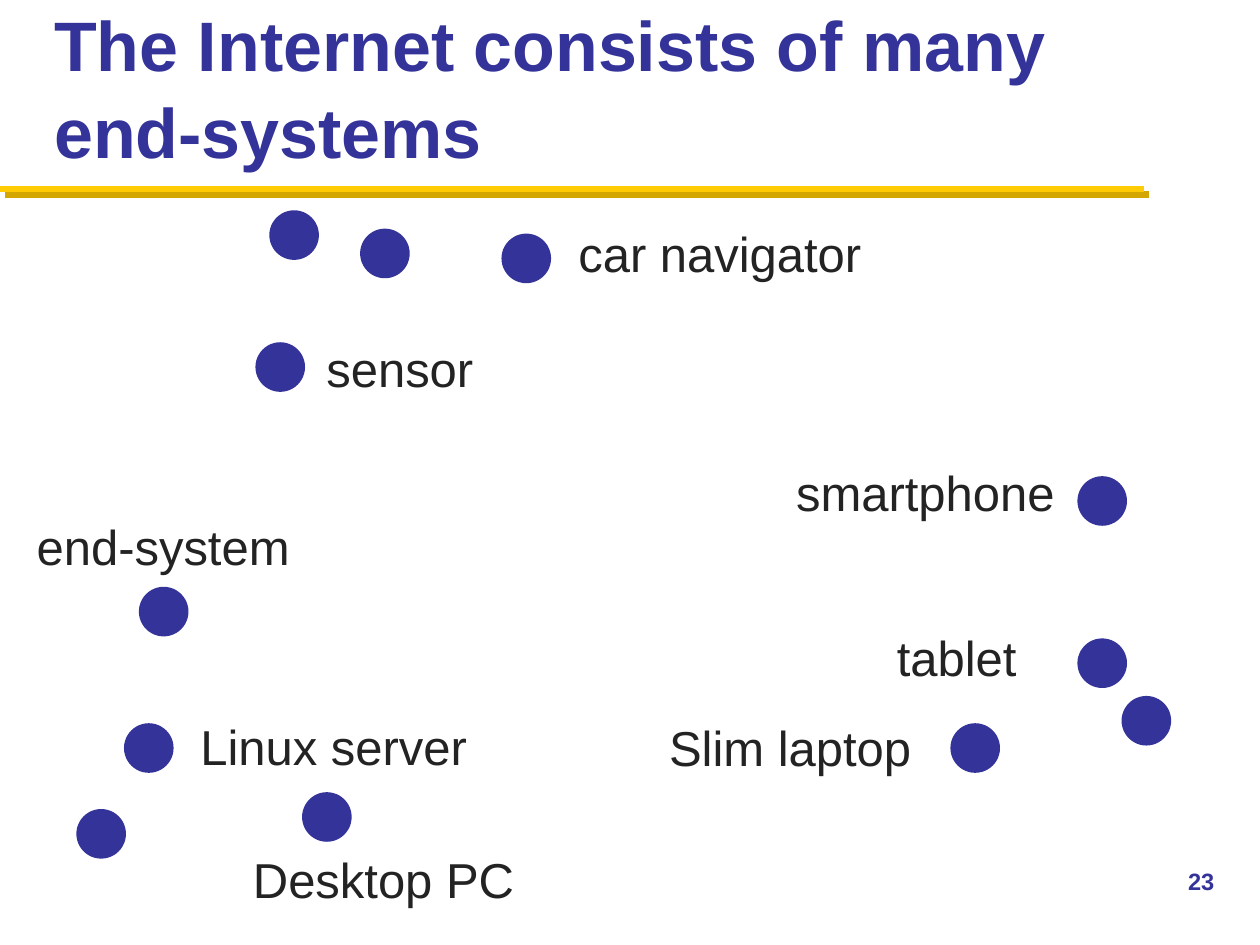
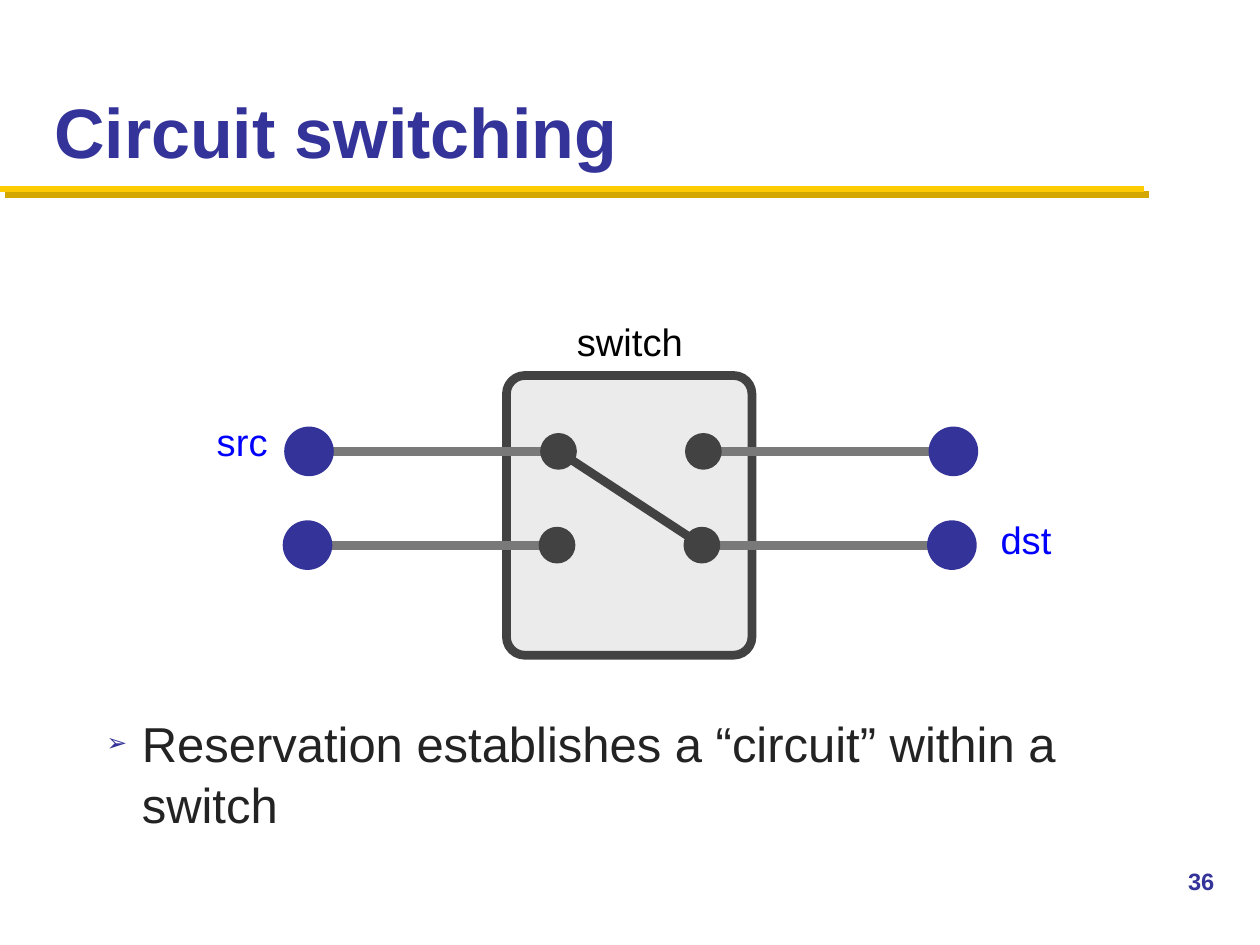
"""Build two slides on end-systems and circuit switching."""
import pptx
import pptx.util
import pptx.dml.color
import pptx.enum.shapes
import pptx.enum.text
import pptx.oxml.ns
import lxml.etree

Cm = pptx.util.Cm
Pt = pptx.util.Pt
SHAPE = pptx.enum.shapes.MSO_SHAPE
ANCHOR = pptx.enum.text.MSO_ANCHOR

HUES = {"navy": "333399", "ink": "232323", "gold": "FFCB05", "shade": "D3A600",
        "dark": "424242", "wire": "797979", "pale": "EBEBEB",
        "black": "000000", "blue": "0000FF"}
FONT = "Arial"
LEAD = 1.04
HOST, PORT = 1.0, 0.74

NODES = [(5.65, 7.4), (3.3, 12.33), (6.59, 16.47), (5.93, 4.74), (7.76, 5.11),
         (3.0, 15.08), (22.22, 10.1), (19.66, 15.08), (22.22, 13.37),
         (2.04, 16.81), (23.11, 14.53), (10.61, 5.21)]
NAMES = [("end-system", 0.64, 10.31, 5.79), ("Desktop PC", 5.0, 17.02, 8.1),
         ("Linux server", 3.94, 14.33, 5.79), ("Slim laptop", 13.39, 14.35, 5.79),
         ("car navigator", 11.56, 4.39, 6.45), ("sensor", 6.48, 6.71, 8.13),
         ("smartphone", 15.95, 9.22, 5.82), ("tablet", 17.98, 12.55, 3.58)]

BOX = (10.21, 7.57, 4.95, 5.64)
COLS = [6.23, 11.26, 14.18, 19.22]
ROWS = [(9.1, 0), (10.99, -0.03)]
TAGS = [("switch", 11.53, 6.3, 2.36, "black"), ("src", 4.27, 8.33, 1.24, "blue"),
        ("dst", 20.07, 10.31, 1.24, "blue")]
POINT = "Reservation establishes a “circuit” within a switch"


def tint(hue):
    return pptx.dml.color.RGBColor.from_string(HUES[hue])


def style(para, size, hue, bold=False):
    para.font.name = FONT
    para.font.size = Pt(size)
    para.font.bold = bold
    para.font.color.rgb = tint(hue)


def write(slide, text, area, size, hue, pad=0.1, bold=False, wrap=True,
          anchor=ANCHOR.MIDDLE):
    frame = slide.shapes.add_textbox(*map(Cm, area)).text_frame
    frame.word_wrap = wrap
    frame.vertical_anchor = anchor
    frame.margin_left = frame.margin_right = Cm(pad)
    frame.margin_top = frame.margin_bottom = Cm(min(pad, 0.13))
    para = frame.paragraphs[0]
    para.text = text
    style(para, size, hue, bold)
    return para


def line(slide, start, end, hue, width):
    link = slide.shapes.add_connector(
        pptx.enum.shapes.MSO_CONNECTOR.STRAIGHT, *map(Cm, start + end))
    link.line.color.rgb = tint(hue)
    link.line.width = Pt(width)
    lxml.etree.SubElement(link._element.spPr, pptx.oxml.ns.qn("a:effectLst"))


def dot(slide, mid, size, hue):
    x, y = mid
    disc = slide.shapes.add_shape(
        SHAPE.OVAL, Cm(x - size / 2), Cm(y - size / 2), Cm(size), Cm(size))
    disc.shadow.inherit = False
    disc.fill.solid()
    disc.fill.fore_color.rgb = tint(hue)
    disc.line.fill.background()


def bullet(para, char, hue):
    props = para._p.get_or_add_pPr()
    props.set("marL", str(Cm(0.71)))
    props.set("indent", str(Cm(-0.71)))

    def add(parent, tag, **attrs):
        return lxml.etree.SubElement(parent, pptx.oxml.ns.qn(tag), **attrs)

    add(add(props, "a:buClr"), "a:srgbClr", val=HUES[hue])
    add(props, "a:buSzPct", val="50000")
    add(props, "a:buFont", typeface=FONT)
    add(props, "a:buChar", char=char)


def start(deck, text, page):
    slide = deck.slides.add_slide(deck.slide_layouts[5])
    for shift, hue in ((0.11, "shade"), (0, "gold")):
        line(slide, (shift, 3.81 + shift), (23.06 + shift, 3.81 + shift), hue, 3.5)
    title = slide.shapes.title
    title.left, title.top, title.width, title.height = map(Cm, (0.84, 0.43, 23.7, 3.18))
    frame = title.text_frame
    frame.auto_size = pptx.enum.text.MSO_AUTO_SIZE.NONE
    frame.vertical_anchor = ANCHOR.BOTTOM
    para = frame.paragraphs[0]
    para.text = text
    para.alignment = pptx.enum.text.PP_ALIGN.LEFT
    para.line_spacing = LEAD
    style(para, 40, "navy", True)
    write(slide, str(page), (23.7, 17.35, 1.7, 1.27), 13.5, "navy", pad=0.25,
          bold=True, anchor=ANCHOR.TOP)
    return slide


def systems(deck):
    slide = start(deck, "The Internet consists of many end-systems", 23)
    for node in NODES:
        dot(slide, node, HOST, "navy")
    for name, x, y, width in NAMES:
        write(slide, name, (x, y, width, 1.4), 28, "ink")


def circuit(deck):
    slide = start(deck, "Circuit switching", 36)
    box = slide.shapes.add_shape(SHAPE.ROUNDED_RECTANGLE, *map(Cm, BOX))
    box.adjustments[0] = 0.075
    box.shadow.inherit = False
    box.fill.solid()
    box.fill.fore_color.rgb = tint("pale")
    box.line.color.rgb = tint("dark")
    box.line.width = Pt(5)

    grid = [[(x + shift, y) for x in COLS] for y, shift in ROWS]
    line(slide, grid[0][1], grid[1][2], "dark", 5)
    for left, inlet, outlet, right in grid:
        line(slide, left, inlet, "wire", 5)
        line(slide, outlet, right, "wire", 5)
        for mid in (left, right):
            dot(slide, mid, HOST, "navy")
        for mid in (inlet, outlet):
            dot(slide, mid, PORT, "dark")
    for tag, x, y, width, hue in TAGS:
        write(slide, tag, (x, y, width, 1.14), 21.8, hue, wrap=False)

    para = write(slide, POINT, (1.9, 14.2, 22.02, 2.6), 28, "ink", pad=0.25,
                 anchor=ANCHOR.TOP)
    para.line_spacing = LEAD
    bullet(para, "➢", "navy")


def main():
    deck = pptx.Presentation()
    deck.slide_width, deck.slide_height = Cm(25.4), Cm(19.05)
    systems(deck)
    circuit(deck)
    deck.save("out.pptx")


if __name__ == "__main__":
    main()
